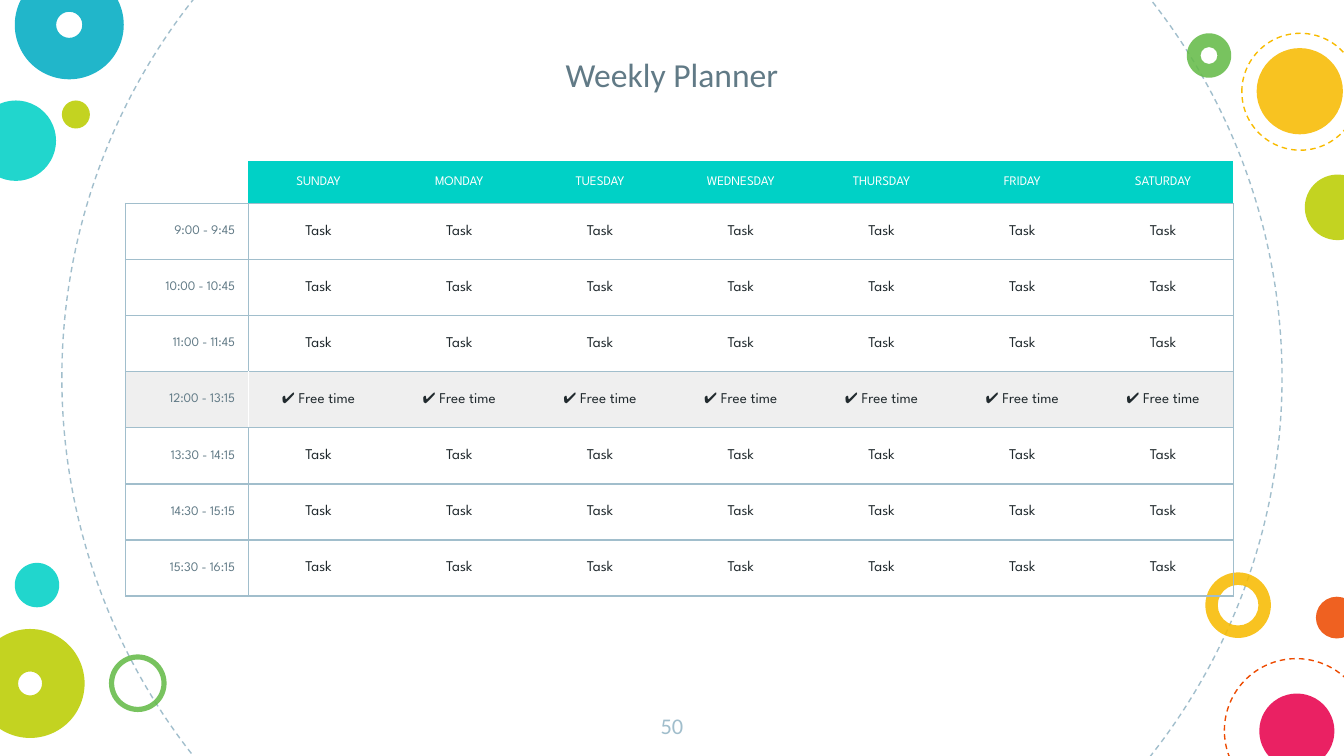
from dataclasses import dataclass

from lxml.etree import SubElement
from pptx import Presentation
from pptx.dml.color import RGBColor
from pptx.enum.dml import MSO_LINE
from pptx.enum.shapes import MSO_SHAPE
from pptx.enum.text import MSO_ANCHOR as Anchor, PP_ALIGN as Align
from pptx.oxml.ns import qn
from pptx.util import Cm, Pt

# Content
TITLE = "Weekly Planner"
PAGE = "50"
DAYS = ["SUNDAY", "MONDAY", "TUESDAY", "WEDNESDAY", "THURSDAY", "FRIDAY", "SATURDAY"]
SLOTS = [
    ("9:00 - 9:45", "Task"),
    ("10:00 - 10:45", "Task"),
    ("11:00 - 11:45", "Task"),
    ("12:00 - 13:15", "✔ Free time"),
    ("13:30 - 14:15", "Task"),
    ("14:30 - 15:15", "Task"),
    ("15:30 - 16:15", "Task"),
]
BREAK_ROW = 4


# Colours and type
@dataclass(frozen=True)
class Theme:
    head_font: str = "Calibri"
    body_font: str = "League Spartan"
    title_size: float = 18
    page_size: float = 12
    label_size: float = 7
    task_size: float = 8
    line_width: float = 0.75
    alpha: int = 87
    slate: str = "617A86"
    mist: str = "A1BECC"
    ink: str = "212A2E"
    white: str = "FFFFFF"
    grey: str = "EFEFEF"
    teal: str = "00D1C6"
    blue: str = "00ACC3"
    lime: str = "BBCD00"
    green: str = "65BB48"
    yellow: str = "F8BB00"
    orange: str = "ED4A00"
    pink: str = "E8004C"


T = Theme()

# Circles, back to front: kind, left, top, diameter (cm), colour, ring thickness
CIRCLES = [
    ("dashed", 1.17, -4.39, 23.06, T.mist, None),
    ("disc", -0.46, 1.9, 1.52, T.teal, None),
    ("ring", 22.78, 10.82, 1.24, T.yellow, 0.19),
    ("ring", 0.28, -0.56, 2.06, T.blue, 0.38),
    ("disc", 1.17, 1.9, 0.53, T.lime, None),
    ("dashed", 23.14, 12.45, 2.72, T.orange, None),
    ("ring", 2.06, 12.37, 1.09, T.green, 0.09),
    ("disc", 24.87, 11.28, 0.79, T.orange, None),
    ("ring", -0.46, 11.89, 2.06, T.lime, 0.39),
    ("disc", 23.8, 13.11, 1.42, T.pink, None),
    ("ring", 22.43, 0.63, 0.84, T.green, 0.31),
    ("disc", 23.75, 0.91, 1.63, T.yellow, None),
    ("disc", 24.66, 3.3, 1.24, T.lime, None),
    ("dashed", 23.47, 0.63, 2.21, T.yellow, None),
    ("disc", 0.28, 10.64, 0.84, T.teal, None),
]

# Layout (cm)
SLIDE_W, SLIDE_H = 25.4, 14.29
INSET = 0.25
TITLE_TOP, TITLE_W, TITLE_H = 0.25, 14.66, 1.78
PAGE_TOP, PAGE_W, PAGE_H = 13.21, 1.3, 1.09
TABLE_LEFT, TABLE_TOP = 2.37, 3.05
TIME_W, DAY_W = 2.32, 2.66
HEAD_H, SLOT_H = 0.66, 1.06


def rgb(color):
    return RGBColor.from_string(color)


def set_insets(frame):
    frame.margin_left = frame.margin_right = Cm(INSET)
    frame.margin_top = frame.margin_bottom = Cm(INSET)


def write(tf, text, font, size, color, align=Align.CENTER):
    p = tf.paragraphs[0]
    p.alignment = align
    r = p.add_run()
    r.text = text
    r.font.name, r.font.size = font, Pt(size)
    r.font.color.rgb = rgb(color)


def add_circle(slide, kind, left, top, size, color, thickness):
    preset = MSO_SHAPE.DONUT if kind == "ring" else MSO_SHAPE.OVAL
    sp = slide.shapes.add_shape(preset, Cm(left), Cm(top), Cm(size), Cm(size))
    sp.shadow.inherit = False
    if kind == "dashed":
        sp.fill.background()
        sp.line.color.rgb = rgb(color)
        sp.line.width = Pt(T.line_width)
        sp.line.dash_style = MSO_LINE.DASH
        return
    if thickness:
        sp.adjustments[0] = thickness
    sp.fill.solid()
    sp.fill.fore_color.rgb = rgb(color)
    sp.line.fill.background()
    clr = next(sp._element.spPr.iter(qn("a:srgbClr")))
    SubElement(clr, qn("a:alpha"), val=str(T.alpha * 1000))


def set_borders(cell, colors):
    """Draw the four sides; a side without a colour gets no line."""
    tc_pr = cell._tc.get_or_add_tcPr()
    for i, side in enumerate("LRTB"):
        ln = SubElement(tc_pr, qn(f"a:ln{side}"), w=str(Pt(T.line_width)))
        tc_pr.insert(i, ln)
        if side in colors:
            fill = SubElement(ln, qn("a:solidFill"))
            SubElement(fill, qn("a:srgbClr"), val=colors[side])
        else:
            SubElement(ln, qn("a:noFill"))


def border_colors(row, col):
    colors = {"B": T.mist}
    if row:
        colors["T"] = T.mist
        divider = T.white if row == BREAK_ROW else T.mist
        if col == 0:
            colors.update(L=T.mist, R=divider)
        elif col == 1:
            colors["L"] = divider
        elif col == len(DAYS):
            colors["R"] = T.mist
    return colors


def cell_fill(row, col):
    if row == 0:
        return T.teal if col else None
    return T.grey if row == BREAK_ROW else None


def add_planner(slide):
    rows = [["", *DAYS]] + [[time] + [task] * len(DAYS) for time, task in SLOTS]
    widths = [TIME_W] + [DAY_W] * len(DAYS)
    heights = [HEAD_H] + [SLOT_H] * len(SLOTS)
    table = slide.shapes.add_table(
        len(rows), len(widths), Cm(TABLE_LEFT), Cm(TABLE_TOP),
        Cm(sum(widths)), Cm(sum(heights))).table
    table.first_row = table.horz_banding = False
    for column, width in zip(table.columns, widths):
        column.width = Cm(width)
    for row, height in zip(table.rows, heights):
        row.height = Cm(height)

    for i, texts in enumerate(rows):
        for j, text in enumerate(texts):
            cell = table.cell(i, j)
            set_insets(cell)
            cell.vertical_anchor = Anchor.MIDDLE
            color = cell_fill(i, j)
            if color:
                cell.fill.solid()
                cell.fill.fore_color.rgb = rgb(color)
            else:
                cell.fill.background()
            set_borders(cell, border_colors(i, j))
            tf = cell.text_frame
            if not text:  # keep the blank corner as low as its row
                end = tf.paragraphs[0]._p.get_or_add_endParaRPr()
                end.set("sz", str(int(T.label_size * 100)))
            elif i == 0:
                write(tf, text, T.body_font, T.label_size, T.white)
            elif j == 0:
                write(tf, text, T.body_font, T.label_size, T.slate, Align.RIGHT)
            else:
                write(tf, text, T.body_font, T.task_size, T.ink)


def main():
    prs = Presentation()
    prs.slide_width, prs.slide_height = Cm(SLIDE_W), Cm(SLIDE_H)
    slide = prs.slides.add_slide(prs.slide_layouts[5])

    # Decorative circles
    for circle in CIRCLES:
        add_circle(slide, *circle)

    # Page number
    sp = slide.shapes.add_textbox(
        Cm((SLIDE_W - PAGE_W) / 2), Cm(PAGE_TOP), Cm(PAGE_W), Cm(PAGE_H))
    sp.text_frame.word_wrap = True
    set_insets(sp.text_frame)
    write(sp.text_frame, PAGE, T.head_font, T.page_size, T.mist)

    # Timetable
    add_planner(slide)

    # Title
    sp = slide.shapes.title
    sp.left, sp.top = Cm((SLIDE_W - TITLE_W) / 2), Cm(TITLE_TOP)
    sp.width, sp.height = Cm(TITLE_W), Cm(TITLE_H)
    set_insets(sp.text_frame)
    sp.text_frame.vertical_anchor = Anchor.BOTTOM
    write(sp.text_frame, TITLE, T.head_font, T.title_size, T.slate)

    prs.save("out.pptx")


if __name__ == "__main__":
    main()
